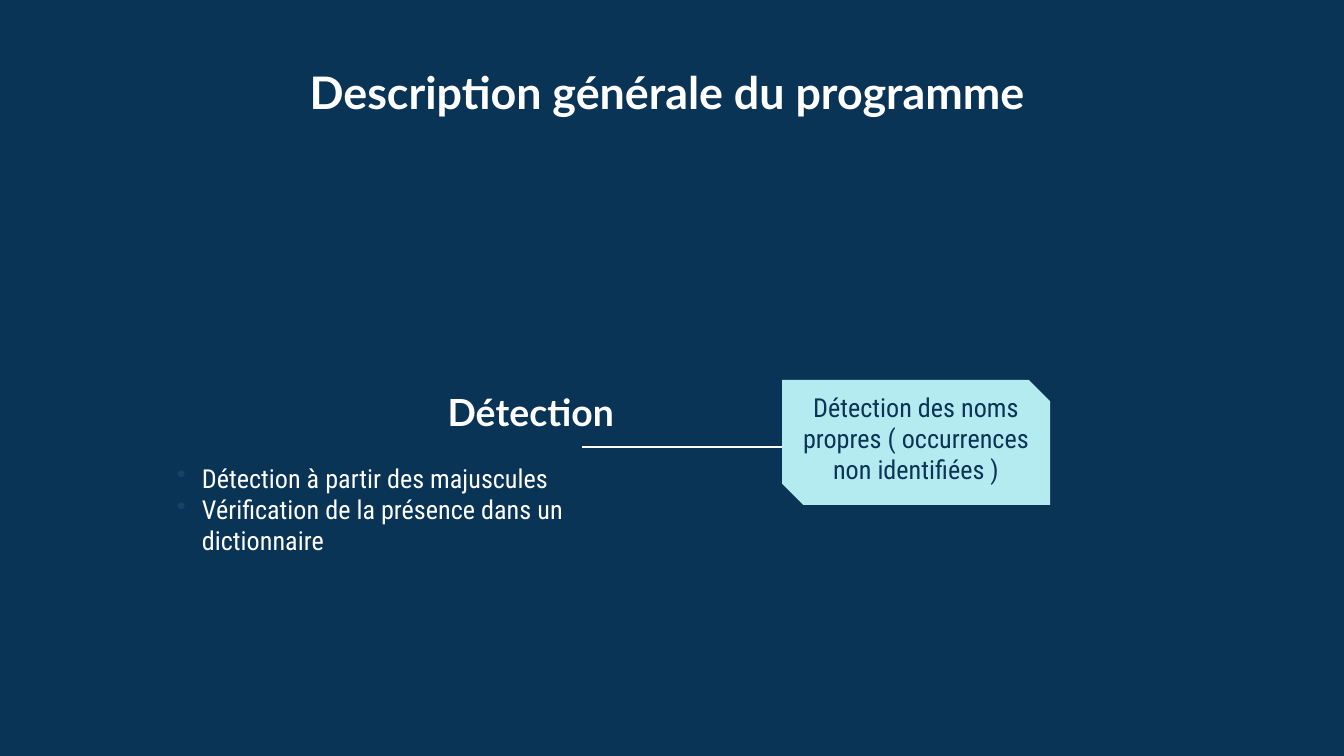
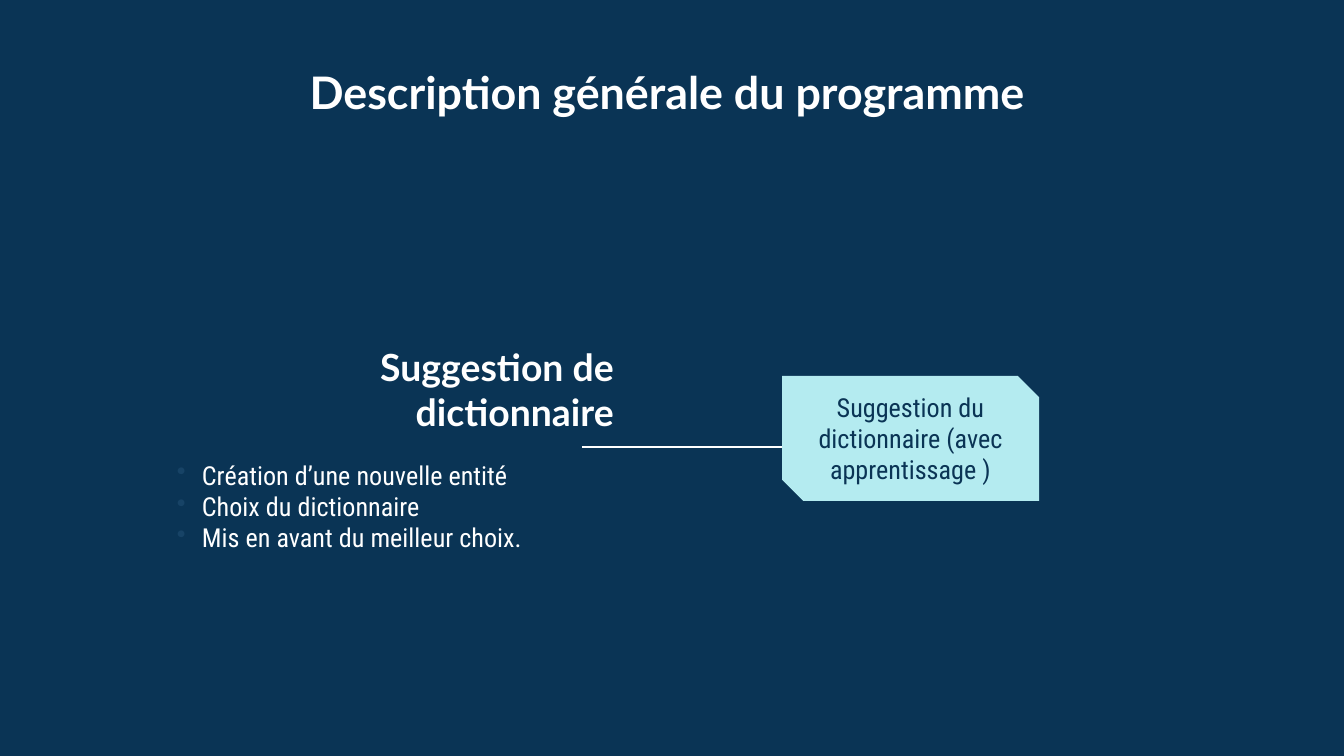
from lxml import etree
from pptx import Presentation
from pptx.dml.color import RGBColor
from pptx.enum.shapes import MSO_CONNECTOR, MSO_SHAPE
from pptx.enum.text import MSO_ANCHOR, PP_ALIGN
from pptx.oxml.ns import qn
from pptx.util import Pt

NAVY = RGBColor(0x0A, 0x34, 0x55)
BULLET = RGBColor(0x17, 0x43, 0x66)
AQUA = RGBColor(0xB4, 0xEB, 0xF0)
WHITE = RGBColor(0xFF, 0xFF, 0xFF)

STRAIGHT = MSO_CONNECTOR.STRAIGHT
SNIPPED = MSO_SHAPE.SNIP_2_DIAG_RECTANGLE
TOP, BOTTOM = MSO_ANCHOR.TOP, MSO_ANCHOR.BOTTOM
LEFT, CENTER, RIGHT = PP_ALIGN.LEFT, PP_ALIGN.CENTER, PP_ALIGN.RIGHT

PX_PER_INCH = 134.4
INSET, INDENT = 13, 25

TITLE = {"name": "Lato", "size": Pt(24), "bold": True}
HEADING = {"name": "Lato", "size": Pt(20), "bold": True}
BODY = {"name": "Roboto Condensed", "size": Pt(14), "bold": False}

PROGRAM_TITLE = "Description générale du programme"
TITLE_BOX = (284, 52, 766, 138)
STEP_BOX = (164, 145, 463, 302)
LABEL_TOP, LABEL_HEIGHT = 378, 106

STEPS = [
    {"heading": "Détection",
     "points": ["Détection à partir des majuscules",
                "Vérification de la présence dans un dictionnaire"],
     "list_box": (164, 449, 536, 262),
     "label": "Détection des noms propres ( occurrences non identifiées )",
     "card_box": (782, 380, 268, 125)},
    {"heading": "Suggestion de dictionnaire",
     "points": ["Création d’une nouvelle entité",
                "Choix du dictionnaire",
                "Mis en avant du meilleur choix."],
     "list_box": (164, 446, 536, 262),
     "label": "Suggestion du dictionnaire (avec apprentissage )",
     "card_box": (782, 376, 257, 125)},
]


def px(n):
    return round(n * 914400 / PX_PER_INCH)


def add_bullet(p):
    pPr = p._p.get_or_add_pPr()
    pPr.set("marL", str(px(INDENT)))
    pPr.set("indent", str(-px(INDENT)))
    color = etree.SubElement(pPr, qn("a:buClr"))
    etree.SubElement(color, qn("a:srgbClr"), val=str(BULLET))
    etree.SubElement(pPr, qn("a:buChar"), char="•")


def add_text(s, box, lines, style, color=WHITE, align=LEFT, anchor=TOP, bullets=False):
    tf = s.shapes.add_textbox(*map(px, box)).text_frame
    frame = {"word_wrap": True, "vertical_anchor": anchor}
    frame |= {"margin_" + side: px(INSET) for side in ("left", "top", "right", "bottom")}
    for key, value in frame.items():
        setattr(tf, key, value)
    for i, line in enumerate(lines):
        p = tf.paragraphs[0] if i == 0 else tf.add_paragraph()
        p.alignment = align
        if bullets:
            add_bullet(p)
        r = p.add_run()
        r.text = line
        for key, value in style.items():
            setattr(r.font, key, value)
        r.font.color.rgb = color


def add_link(s, x1, x2, y):
    line = s.shapes.add_connector(STRAIGHT, px(x1), px(y), px(x2), px(y))
    line.line.color.rgb = WHITE
    line.line.width = Pt(0.75)
    etree.SubElement(line._element.spPr, qn("a:effectLst"))


def add_card(s, box, label):
    x, _, w, _ = box
    sp = s.shapes.add_shape(SNIPPED, *map(px, box))
    sp.shadow.inherit = False
    sp.adjustments[0], sp.adjustments[1] = 0, 0.17
    sp.fill.solid()
    sp.fill.fore_color.rgb = AQUA
    sp.line.fill.background()
    # The label keeps its height while the card shifts between slides
    add_text(s, (x, LABEL_TOP, w, LABEL_HEIGHT), [label], BODY, NAVY, CENTER)


def add_step_slide(prs, step):
    s = prs.slides.add_slide(prs.slide_layouts[6])
    s.background.fill.solid()
    s.background.fill.fore_color.rgb = NAVY
    x, y, w, h = STEP_BOX
    # Rule from the heading to the card
    add_link(s, x + w - 45, step["card_box"][0], y + h)
    # Title, heading and points
    add_text(s, TITLE_BOX, [PROGRAM_TITLE], TITLE, align=CENTER)
    add_text(s, (x + 71, y, w - 71, h), [step["heading"]], HEADING,
             align=RIGHT, anchor=BOTTOM)
    add_text(s, step["list_box"], step["points"], BODY, bullets=True)
    # Summary card
    add_card(s, step["card_box"], step["label"])


def main():
    prs = Presentation()
    prs.slide_width, prs.slide_height = px(1344), px(756)
    for step in STEPS:
        add_step_slide(prs, step)
    prs.save("out.pptx")


if __name__ == "__main__":
    main()
